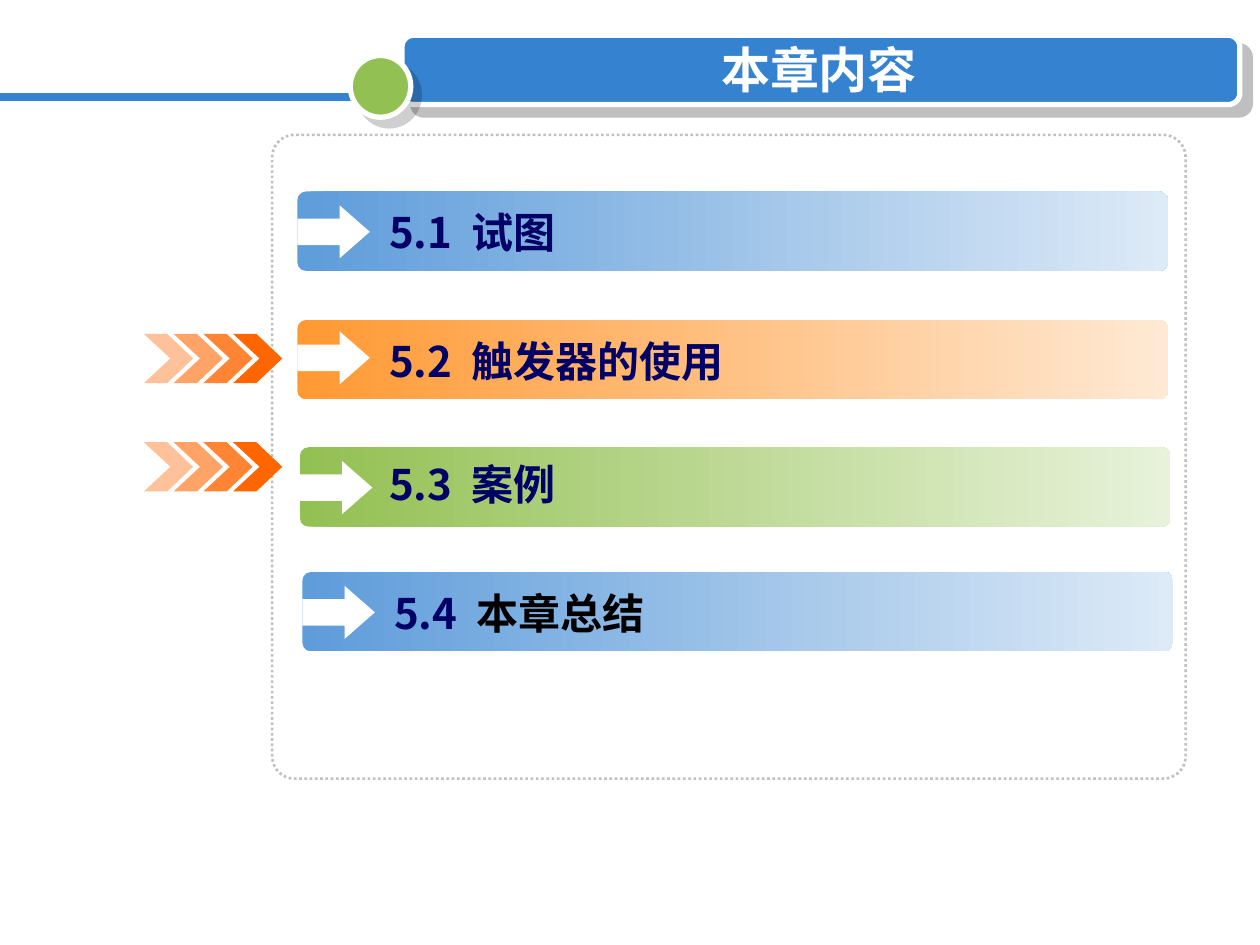
from dataclasses import dataclass

from lxml.etree import SubElement
from pptx import Presentation
from pptx.dml.color import RGBColor
from pptx.enum.dml import MSO_LINE
from pptx.enum.shapes import MSO_CONNECTOR, MSO_SHAPE
from pptx.enum.text import MSO_ANCHOR, PP_ALIGN
from pptx.oxml.ns import qn
from pptx.util import Inches, Pt


@dataclass
class Theme:
    blue: str = "3482D0"
    green: str = "93C052"
    orange: str = "FF6600"
    white: str = "FFFFFF"
    grey: str = "C0C0C0"
    navy: str = "000066"
    black: str = "000000"
    blue_fade: tuple = ("5E9CDA", "DDEAF7")
    orange_fade: tuple = ("FF9933", "FFE9D4")
    green_fade: tuple = ("93C052", "E8F2DA")
    title_size: int = 28
    item_size: int = 24
    title_font: str = "Arial"
    item_font: str = "Noto Sans CJK SC"
    summary_font: str = "Times New Roman"


theme = Theme()
rgb = RGBColor.from_string

prs = Presentation()
prs.slide_width, prs.slide_height = Inches(10), Inches(7.5)
s = prs.slides.add_slide(prs.slide_layouts[6])

# Grid of 100 columns by 75 rows
col, row = prs.slide_width / 100, prs.slide_height / 75


def add_box(kind, x, y, w, h, fill=None, line=None, width=3, adj=(), shadow=None):
    """Preset shape in grid units; a pair of colours makes a gradient."""
    sp = s.shapes.add_shape(kind, int(x * col), int(y * row), int(w * col), int(h * row))
    for i, value in enumerate(adj):
        sp.adjustments[i] = value
    if isinstance(fill, tuple):
        sp.fill.gradient()
        sp.fill.gradient_angle = 0
        for stop, color in zip(sp.fill.gradient_stops, fill):
            stop.color.rgb = rgb(color)
    elif fill:
        sp.fill.solid()
        sp.fill.fore_color.rgb = rgb(fill)
    else:
        sp.fill.background()
    if line:
        sp.line.color.rgb = rgb(line)
        sp.line.width = Pt(width)
    else:
        sp.line.fill.background()
    sp.shadow.inherit = False
    if shadow:
        color, alpha, distance = shadow
        effects = sp._element.spPr.find(qn("a:effectLst"))
        outer = SubElement(effects, qn("a:outerShdw"), blurRad="0", dist=str(Pt(distance)),
                           dir="2700000", algn="ctr", rotWithShape="0")
        clr = SubElement(outer, qn("a:srgbClr"), val=color)
        SubElement(clr, qn("a:alpha"), val=str(alpha * 1000))
    return sp


def add_text(x, y, w, h, runs, size, align=PP_ALIGN.LEFT, tab=None):
    """One bold paragraph; runs are (text, font, colour)."""
    tb = s.shapes.add_textbox(int(x * col), int(y * row), int(w * col), int(h * row))
    tf = tb.text_frame
    tf.word_wrap = True
    tf.vertical_anchor = MSO_ANCHOR.MIDDLE
    p = tf.paragraphs[0]
    p.alignment = align
    if tab:
        tabs = SubElement(p._p.get_or_add_pPr(), qn("a:tabLst"))
        SubElement(tabs, qn("a:tab"), pos=str(int(tab * col)), algn="l")
    for text, font, color in runs:
        r = p.add_run()
        r.text = text
        r.font.size, r.font.bold, r.font.name = Pt(size), True, font
        r.font.color.rgb = rgb(color)
        SubElement(r.font._element, qn("a:ea"), typeface=theme.item_font)


# Header: bar, rule, dot and title
add_box(MSO_SHAPE.ROUNDED_RECTANGLE, 31.9, 2.8, 66.5, 5.5, theme.blue, theme.white,
        adj=[0.167], shadow=("808080", 50, 8.5))
rule = s.shapes.add_connector(MSO_CONNECTOR.STRAIGHT, 0, int(7.7 * row),
                              int(32.7 * col), int(7.7 * row))
rule.line.color.rgb = rgb(theme.blue)
rule.line.width = Pt(4.5)
SubElement(rule._element.spPr, qn("a:effectLst"))
add_box(MSO_SHAPE.OVAL, 27.8, 4.4, 4.8, 4.9, theme.green, theme.white,
        shadow=("000000", 19, 7.1))
add_text(34.3, 2.8, 61.4, 5.3, [("本章内容", theme.title_font, theme.white)],
         theme.title_size, PP_ALIGN.CENTER)

# Dotted frame
frame = add_box(MSO_SHAPE.ROUNDED_RECTANGLE, 21.6, 10.7, 72.5, 51.1,
                line=theme.grey, width=1.5, adj=[0.035])
frame.line.dash_style = MSO_LINE.ROUND_DOT

# Agenda: bar left and top, arrow top, text left and top
items = [
    (23.6, 15.2, 16.3, 29.9, 15.9, "5.1", "试图", theme.blue_fade),
    (23.6, 25.4, 26.3, 29.9, 26.1, "5.2", "触发器的使用", theme.orange_fade),
    (23.8, 35.5, 36.6, 29.9, 35.9, "5.3", "案例", theme.green_fade),
    (24.0, 45.4, 46.5, 30.3, 46.1, "5.4", "本章总结", theme.blue_fade),
]
for x, y, arrow_y, text_x, text_y, number, name, fade in items:
    add_box(MSO_SHAPE.ROUNDED_RECTANGLE, x, y, 69.1, 6.3, fade, adj=[0.109])
    add_box(MSO_SHAPE.RIGHT_ARROW, x, arrow_y, 5.75, 4.2, theme.white, adj=[0.5, 0.57])
    runs = [(number + "\t" + name, theme.item_font, theme.navy)]
    if number == "5.4":
        runs = [(number + "\t", theme.item_font, theme.navy),
                (name, theme.summary_font, theme.black)]
    add_text(text_x, text_y, 52.8, 5, runs, theme.item_size, tab=6.55)

# Chevron trails, fading to the left
chevron = [(0, 0), (1.85, 0), (3.9, 1.95), (1.85, 3.9), (0, 3.9), (2.1, 1.95)]
for top in (26.5, 35.1):
    for step in range(4):
        left = 18.5 - 2.36 * step
        points = [((left + dx) * col, (top + dy) * row) for dx, dy in chevron]
        builder = s.shapes.build_freeform(*points[0])
        builder.add_line_segments(points[1:], close=True)
        sp = builder.convert_to_shape()
        sp.fill.solid()
        sp.fill.fore_color.rgb = rgb(theme.orange)
        sp.line.fill.background()
        sp.shadow.inherit = False
        if step:
            clr = sp._element.spPr.find(qn("a:solidFill")).find(qn("a:srgbClr"))
            SubElement(clr, qn("a:alpha"), val=str(100000 - 20000 * step))

prs.save("out.pptx")
